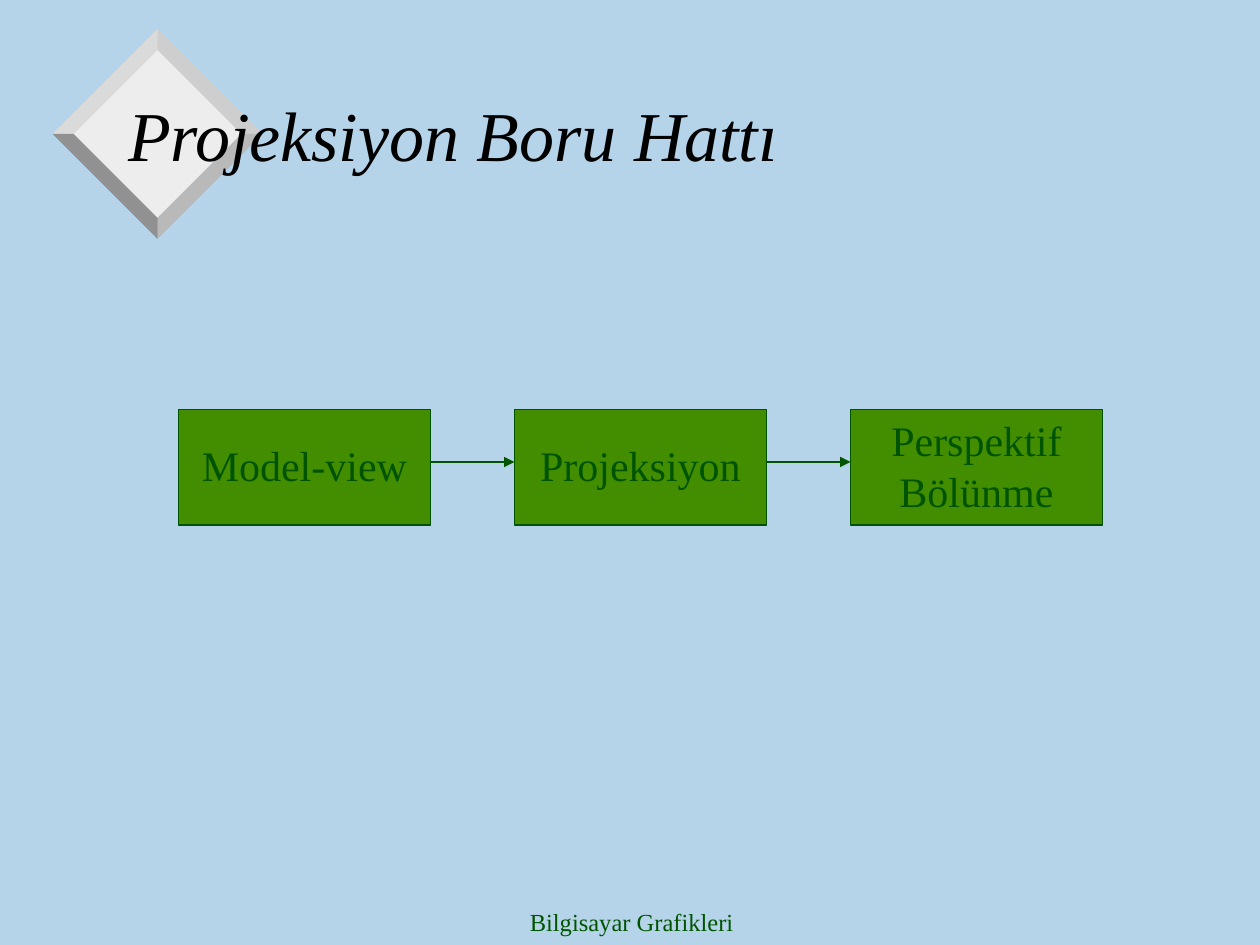
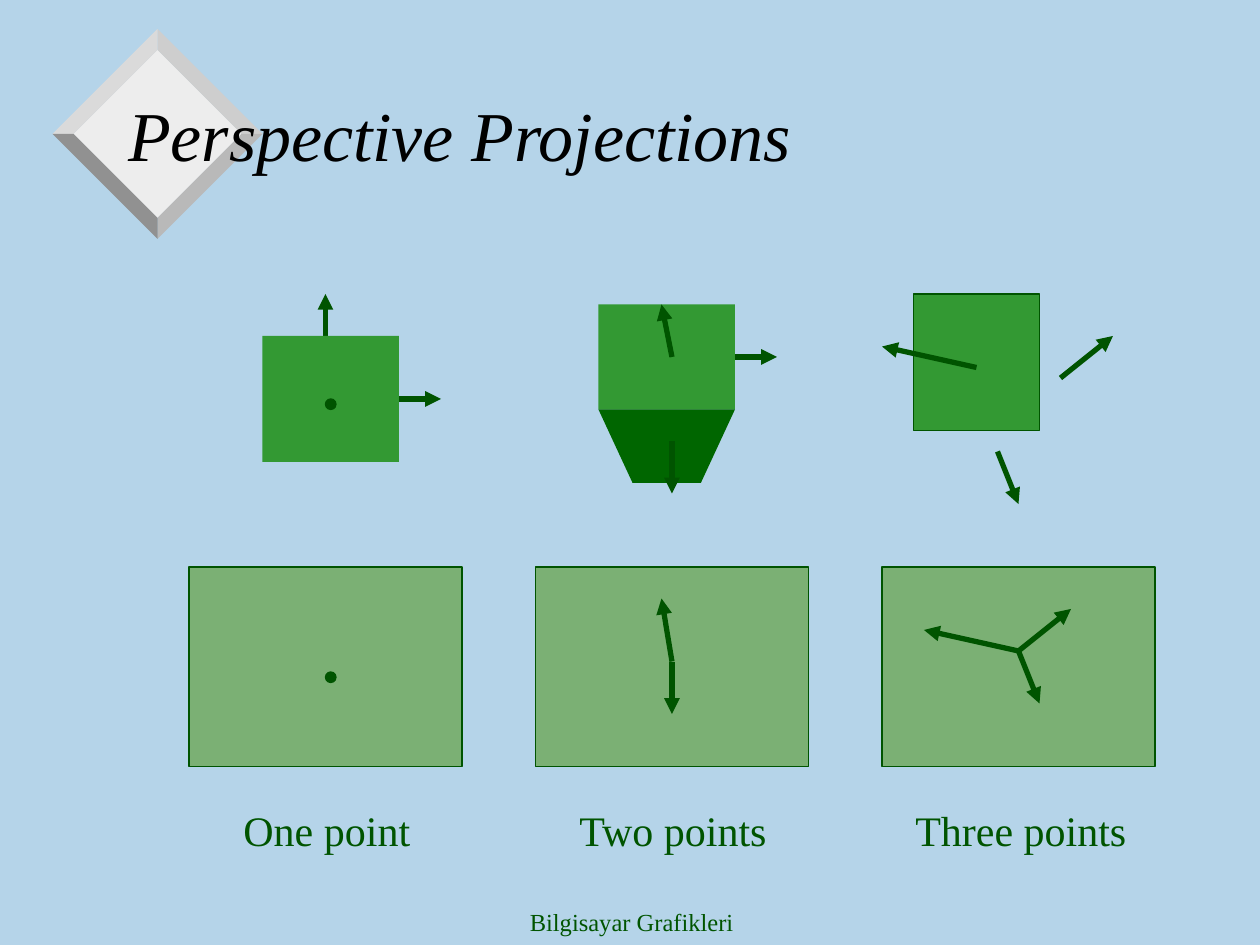
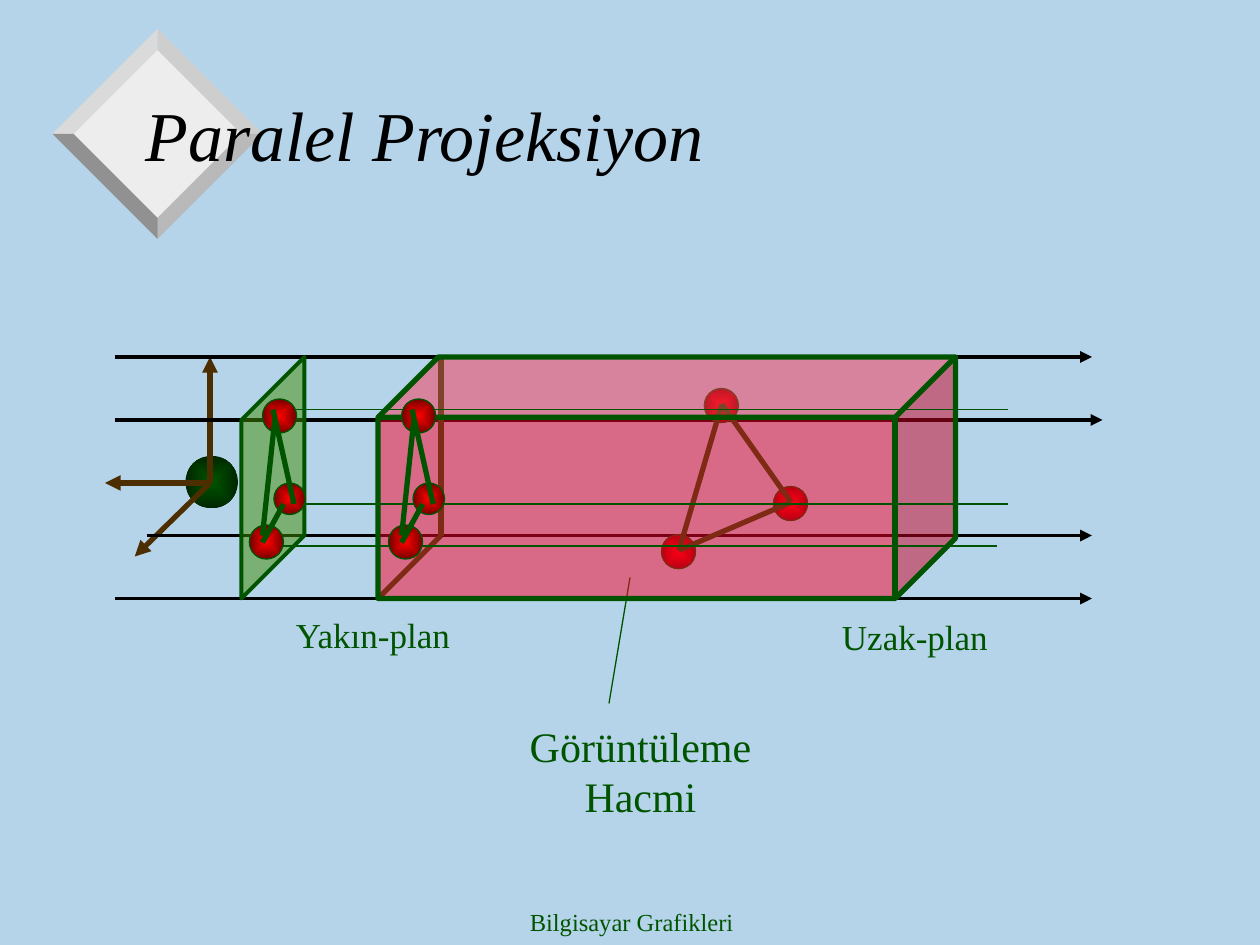
"""Build three slides on projections in computer graphics."""
from lxml import etree
from pptx import Presentation
from pptx import util as u
from pptx.dml.color import RGBColor
from pptx.enum import shapes, text
from pptx.oxml.ns import qn

SKY, GREEN, LEAF, FACE, BASE = "B5D4E9", "005400", "438E00", "339933", "006600"
BLACK, BROWN, ROSE = "000000", "4C2E00", "FC0128"
RED_BALL, GREEN_BALL = ("FF0000", "750000"), (GREEN, "002600")
FONT = "Times New Roman"
FOOTER = "Bilgisayar Grafikleri"
TITLE_AT = (66, 33, 612, 87)

DIAMOND = {"center": (90, 76.5), "inner": 48, "outer": 60, "face": "EDEDED"}
BEVELS = [(1, -1, "CECECE"), (-1, -1, "DADADA"), (1, 1, "B9B9B9"), (-1, 1, "919191")]

STAGES = ["Model-view", "Projeksiyon", "Perspektif Bölünme"]
STAGE_LEFT, STAGE_TOP, STAGE_WIDTH, STAGE_HEIGHT, STAGE_GAP = 102, 234, 144, 66, 48
FLOW_Y = 264

PANEL_LEFT, PANEL_TOP, PANEL_WIDTH, PANEL_HEIGHT, PANEL_PITCH = 108, 324, 156, 114, 198
VIEWS = [
    {"label": "One point", "label_left": 132, "face": (150, 192, 78, 72), "edge": None,
     "behind": [(216, 228, 252, 228), (186, 210, 186, 168)],
     "dots": [(186, 228), (186, 384)]},
    {"label": "Two points", "label_left": 324, "face": (342, 174, 78, 60), "edge": None,
     "behind": [(408, 204, 444, 204)],
     "base": [(342, 234), (420, 234), (400.5, 276), (361.5, 276)],
     "front": [(384, 252, 384, 282), (384, 204, 378, 174),
               (384, 378, 384, 408), (384, 378, 378, 342)]},
    {"label": "Three points", "label_left": 516, "face": (522, 168, 72, 78), "edge": GREEN,
     "front": [(606, 216, 636, 192), (558, 210, 504, 198), (570, 258, 582, 288),
               (582, 372, 594, 402), (582, 372, 528, 360), (582, 372, 612, 348)]},
]

EYE = (120, 276)
AXIS_ENDS = [(120, 204), (77, 318), (60, 276)]
RAYS = [(66, 204, 624), (84, 306, 624), (66, 342, 624), (66, 240, 630)]
HIDDEN_EDGES = [(252, 204, 252, 306), (252, 306, 216, 342)]
VIEW_PLANE = [(174, 204), (138, 240), (138, 342), (174, 306)]
VOLUME = (216, 204, 330, 138)
GUIDES = [(162, 234, 576), (150, 312, 570), (162, 288, 576)]
LEADER = (360, 330, 348, 402)
FAR_BALLS = [(402.5, 222, 19.5), (378, 305.5, 19.5), (442, 278, 19.5)]
FAR_EDGES = [(452, 287, 388, 314.5), (452, 287, 412.5, 231), (412.5, 231, 388, 314.5)]
NEAR_BALLS = [(142.5, 300, 19.5), (150, 228, 19.5), (156.5, 276, 18)]
NEAR_EDGES = [(157, 240, 150, 306), (162, 288, 150, 310), (168, 288, 156, 234)]
NEAR_SHIFTS = (0, 79.5)
CAPTIONS = [("Yakın-plan", (162, 347, 114, 32), 20, "LEFT"),
            ("Uzak-plan", (474, 348, 120, 32), 20, "LEFT"),
            ("Görüntüleme Hacmi", (276, 408, 180, 65), 24, "CENTER")]


def pts(values):
    return [u.Pt(value) for value in values]


def color(hex_value):
    return RGBColor.from_string(hex_value)


def write(box, words, size=24, ink=GREEN, italic=False, align="LEFT", anchor="TOP",
          left=7.2, bottom=3.6):
    frame = box.text_frame
    frame.word_wrap = True
    frame.auto_size = text.MSO_AUTO_SIZE.NONE
    frame.vertical_anchor = getattr(text.MSO_ANCHOR, anchor)
    frame.margin_left, frame.margin_right, frame.margin_top, frame.margin_bottom = pts(
        (left, 7.2, 3.6, bottom))
    para = frame.paragraphs[0]
    para.alignment = getattr(text.PP_ALIGN, align)
    span = para.add_run()
    span.text = words
    span.font.name, span.font.size, span.font.italic = FONT, u.Pt(size), italic
    span.font.color.rgb = color(ink)


def label(page, words, at, **style):
    box = page.shapes.add_textbox(*pts(at))
    write(box, words, **style)
    return box


def paint(shape, fill, edge=None, weight=0.75, alpha=None):
    shape.shadow.inherit = False
    if isinstance(fill, tuple):
        shape.fill.gradient()
        for stop, shade in zip(shape.fill.gradient_stops, fill):
            stop.color.rgb = color(shade)
        gradient = shape.element.spPr.find(qn("a:gradFill"))
        gradient.remove(gradient.find(qn("a:lin")))
        focus = etree.SubElement(gradient, qn("a:path"), path="rect")
        etree.SubElement(focus, qn("a:fillToRect"), l="50000", t="50000", r="50000", b="50000")
    else:
        shape.fill.solid()
        shape.fill.fore_color.rgb = color(fill)
    if alpha:
        solid = shape.element.spPr.find(qn("a:solidFill"))
        etree.SubElement(solid[0], qn("a:alpha"), val=str(alpha * 1000))
    if edge:
        shape.line.color.rgb = color(edge)
        shape.line.width = u.Pt(weight)
    else:
        shape.line.fill.background()
    return shape


def draw(page, kind, at, fill, **style):
    preset = getattr(shapes.MSO_SHAPE, kind)
    return paint(page.shapes.add_shape(preset, *pts(at)), fill, **style)


def polygon(page, corners, fill, **style):
    builder = page.shapes.build_freeform(*pts(corners[0]), scale=1.0)
    builder.add_line_segments([pts(corner) for corner in corners[1:]], close=True)
    return paint(builder.convert_to_shape(), fill, **style)


def line(page, ends, ink=GREEN, weight=3, arrow=False):
    link = page.shapes.add_connector(shapes.MSO_CONNECTOR.STRAIGHT, *pts(ends))
    link.line.color.rgb = color(ink)
    link.line.width = u.Pt(weight)
    if arrow:
        etree.SubElement(link.line._get_or_add_ln(), qn("a:tailEnd"), type="triangle")
    etree.SubElement(link.element.spPr, qn("a:effectLst"))


def balls_and_edges(page, balls, edges, shift=0):
    for x, y, size in balls:
        draw(page, "OVAL", (x + shift, y, size, size), RED_BALL, edge=GREEN)
    for x1, y1, x2, y2 in edges:
        line(page, (x1 + shift, y1, x2 + shift, y2))


def furnish(layout, page):
    """Put the background, diamond and footer on the layout, drawing them through a page."""
    layout.background.fill.solid()
    layout.background.fill.fore_color.rgb = color(SKY)
    (cx, cy), inner, outer = DIAMOND["center"], DIAMOND["inner"], DIAMOND["outer"]
    parts = [polygon(page, [(cx, cy - inner), (cx - inner, cy), (cx, cy + inner),
                            (cx + inner, cy)], DIAMOND["face"])]
    for sx, sy, shade in BEVELS:
        parts.append(polygon(page, [(cx, cy + sy * inner), (cx, cy + sy * outer),
                                    (cx + sx * outer, cy), (cx + sx * inner, cy)], shade))
    parts.append(label(page, FOOTER, (247, 515, 228, 25), size=14, align="CENTER"))
    for part in parts:
        layout.shapes.element.append(part.element)


def add_page(deck, layout, title, left=7.2):
    page = deck.slides.add_slide(layout)
    box = page.shapes.title
    box.left, box.top, box.width, box.height = pts(TITLE_AT)
    write(box, title, size=40, ink=BLACK, italic=True, anchor="MIDDLE", left=left)
    return page


def pipeline(page):
    for index, stage in enumerate(STAGES):
        left = STAGE_LEFT + index * (STAGE_WIDTH + STAGE_GAP)
        box = draw(page, "RECTANGLE", (left, STAGE_TOP, STAGE_WIDTH, STAGE_HEIGHT), LEAF,
                   edge=GREEN)
        write(box, stage, align="CENTER", anchor="MIDDLE", bottom=6)
        if index:
            line(page, (left - STAGE_GAP, FLOW_Y, left, FLOW_Y), weight=0.75, arrow=True)


def perspective(page):
    for index, view in enumerate(VIEWS):
        for ends in view.get("behind", []):
            line(page, ends, arrow=True)
        draw(page, "RECTANGLE", view["face"], FACE, edge=view["edge"])
        if "base" in view:
            polygon(page, view["base"], BASE)
        left = PANEL_LEFT + index * PANEL_PITCH
        draw(page, "RECTANGLE", (left, PANEL_TOP, PANEL_WIDTH, PANEL_HEIGHT), LEAF,
             edge=GREEN, alpha=50)
        for x, y in view.get("dots", []):
            draw(page, "OVAL", (x, y, 6, 6), GREEN, edge=GREEN)
        for ends in view.get("front", []):
            line(page, ends, arrow=True)
        label(page, view["label"], (view["label_left"], 456, 144, 36))


def parallel(page):
    draw(page, "OVAL", (106, 260.5, 30, 30), GREEN_BALL)
    for end in AXIS_ENDS:
        line(page, EYE + end, ink=BROWN, arrow=True)
    for start, y, end in RAYS:
        line(page, (start, y, end, y), ink=BLACK, weight=2.25, arrow=True)
    for words, at, size, align in CAPTIONS:
        label(page, words, at, size=size, align=align)
    line(page, LEADER, weight=0.75)
    for ends in HIDDEN_EDGES:
        line(page, ends)
    polygon(page, VIEW_PLANE, LEAF, edge=GREEN, weight=2.25, alpha=50)
    balls_and_edges(page, FAR_BALLS, FAR_EDGES)
    draw(page, "CUBE", VOLUME, ROSE, edge=GREEN, weight=3, alpha=50)
    for start, y, end in GUIDES:
        line(page, (start, y, end, y), weight=0.75)
    for shift in NEAR_SHIFTS:
        balls_and_edges(page, NEAR_BALLS, NEAR_EDGES, shift)


def main():
    deck = Presentation()
    deck.slide_width, deck.slide_height = pts((720, 540))
    layout = deck.slide_layouts[5]
    first = add_page(deck, layout, "Projeksiyon Boru Hattı")
    furnish(layout, first)
    pipeline(first)
    perspective(add_page(deck, layout, "Perspective Projections"))
    parallel(add_page(deck, layout, "Paralel Projeksiyon", left=17.2))
    deck.save("out.pptx")


if __name__ == "__main__":
    main()
